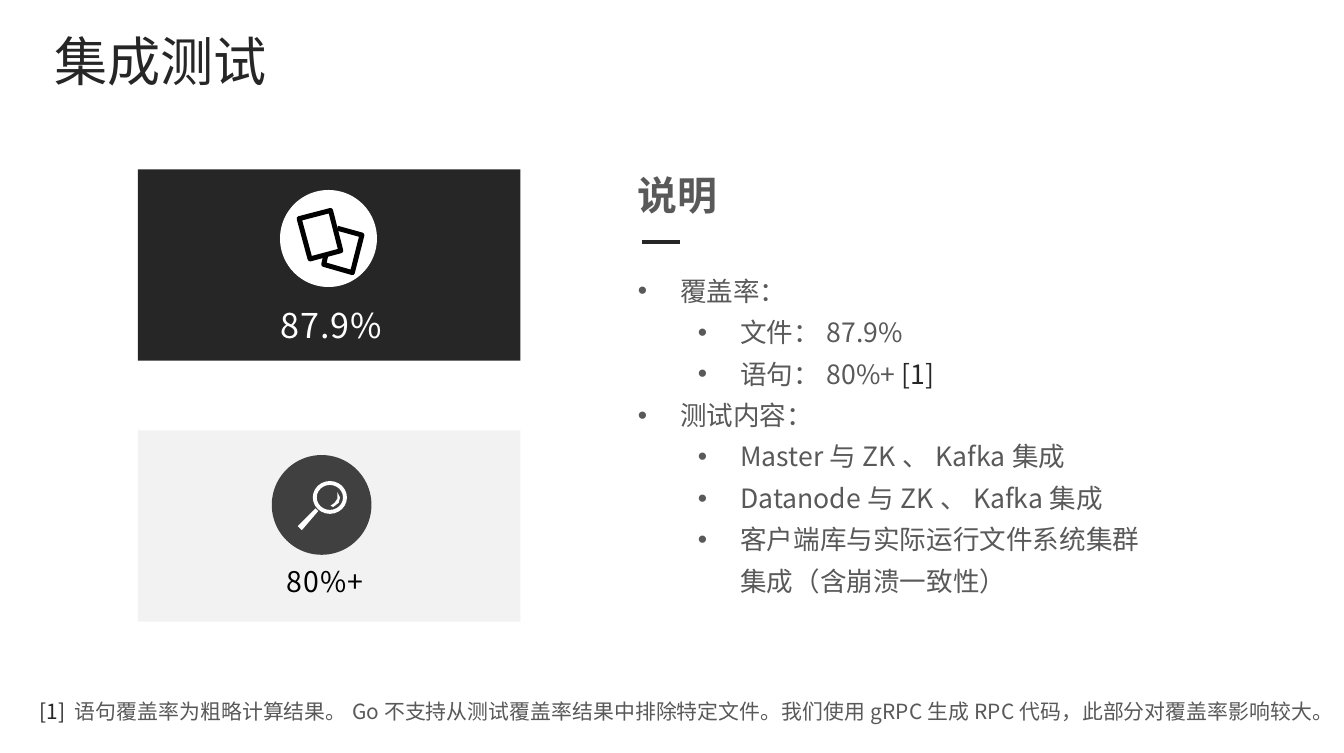
from dataclasses import dataclass

from lxml.etree import SubElement
from pptx import Presentation
from pptx.dml.color import RGBColor
from pptx.enum.shapes import MSO_CONNECTOR, MSO_SHAPE
from pptx.enum.text import MSO_ANCHOR, MSO_AUTO_SIZE, PP_ALIGN
from pptx.oxml.ns import qn
from pptx.util import Inches, Pt


@dataclass(frozen=True)
class Theme:
    font: str = "Noto Sans CJK SC"
    dark: str = "262626"
    grey: str = "595959"
    disc: str = "404040"
    pale: str = "F2F2F2"
    white: str = "FFFFFF"
    black: str = "000000"
    title: int = 28
    heading: int = 21
    figure: int = 18
    small_figure: int = 15
    body: int = 14
    note: int = 11


THEME = Theme()


def add_run(paragraph, text, *, size, color, bold=False, spacing=None):
    run = paragraph.add_run()
    run.text = text
    run.font.size = Pt(size)
    run.font.bold = bold
    run.font.color.rgb = RGBColor.from_string(color)
    run.font.name = THEME.font
    properties = run.font._element
    SubElement(properties, qn("a:ea")).set("typeface", THEME.font)
    if spacing:
        properties.set("spc", str(round(spacing * 100)))


def prepare_frame(shape, inset_x=0.07, inset_y=0.04):
    frame = shape.text_frame
    frame.word_wrap = True
    frame.auto_size = MSO_AUTO_SIZE.NONE
    frame.vertical_anchor = MSO_ANCHOR.TOP
    frame.margin_left = frame.margin_right = Inches(inset_x)
    frame.margin_top = frame.margin_bottom = Inches(inset_y)
    return frame


def add_text(slide, box, text, *, align=PP_ALIGN.LEFT, **font):
    shape = slide.shapes.add_textbox(*map(Inches, box))
    paragraph = prepare_frame(shape).paragraphs[0]
    paragraph.alignment = align
    add_run(paragraph, text, **font)


def paint(shape, fill=None, line=None, width=0):
    shape.shadow.inherit = False
    if fill:
        shape.fill.solid()
        shape.fill.fore_color.rgb = RGBColor.from_string(fill)
    else:
        shape.fill.background()
    if line:
        shape.line.color.rgb = RGBColor.from_string(line)
        shape.line.width = Pt(width)
    else:
        shape.line.fill.background()
    return shape


def add_preset(slide, kind, box, fill):
    return paint(slide.shapes.add_shape(kind, *map(Inches, box)), fill)


def add_outline(slide, left, top, points, close=True, **style):
    corners = [(Inches(left + x), Inches(top + y)) for x, y in points]
    builder = slide.shapes.build_freeform(*corners[0])
    builder.add_line_segments(corners[1:], close=close)
    paint(builder.convert_to_shape(), **style)


def add_title(slide, left, top, width, height):
    title = slide.shapes.title
    title.left, title.top = Inches(left), Inches(top)
    title.width, title.height = Inches(width), Inches(height)
    paragraph = prepare_frame(title, 0.1, 0.05).paragraphs[0]
    paragraph.alignment = PP_ALIGN.LEFT
    add_run(paragraph, "集成测试", size=THEME.title, color=THEME.dark)


def add_pages_icon(slide, left, top):
    style = {"line": THEME.black, "width": 2.6}
    front = [(0.02, 0.08), (0.25, 0.02), (0.325, 0.315), (0.1, 0.375)]
    back = [(0.3, 0.15), (0.48, 0.2), (0.41, 0.475), (0.2, 0.415), (0.215, 0.35)]
    add_outline(slide, left, top, back, close=False, **style)
    add_outline(slide, left, top, front, **style)


def add_magnifier_icon(slide, left, top):
    ring = add_preset(slide, MSO_SHAPE.DONUT, (left + 0.11, top, 0.25, 0.24), THEME.white)
    ring.adjustments[0] = 0.12
    handle = [(0, 0.33), (0.03, 0.36), (0.15, 0.22), (0.13, 0.2)]
    glint = [(0.29, 0.08), (0.29, 0.13), (0.27, 0.16), (0.24, 0.18),
             (0.26, 0.19), (0.3, 0.16), (0.31, 0.12)]
    for points in (handle, glint):
        add_outline(slide, left, top, points, fill=THEME.white)


def add_file_card(slide, left, top, width, height):
    add_preset(slide, MSO_SHAPE.RECTANGLE, (left, top, width, height), THEME.dark)
    add_preset(slide, MSO_SHAPE.OVAL, (left + 1.04, top + 0.15, 0.71, 0.71), THEME.white)
    add_pages_icon(slide, left + 1.16, top + 0.28)
    add_text(slide, (left + 0.81, top + 0.95, 1.21, 0.38), "87.9%", align=PP_ALIGN.CENTER,
             size=THEME.figure, color=THEME.white, spacing=0.6)


def add_statement_card(slide, left, top, width, height):
    add_preset(slide, MSO_SHAPE.RECTANGLE, (left, top, width, height), THEME.pale)
    add_preset(slide, MSO_SHAPE.OVAL, (left + 0.98, top + 0.18, 0.73, 0.73), THEME.disc)
    add_magnifier_icon(slide, left + 1.17, top + 0.37)
    add_text(slide, (left + 0.87, top + 0.94, 1, 0.33), "80%+", align=PP_ALIGN.CENTER,
             size=THEME.small_figure, color=THEME.black, spacing=0.6)


def add_bullet(paragraph, level):
    paragraph.level = level
    properties = paragraph._p.get_or_add_pPr()
    properties.set("marL", str(Inches((0.31, 0.75)[level])))
    properties.set("indent", str(Inches(-0.31)))
    SubElement(properties, qn("a:buFont")).set("typeface", "Arial")
    SubElement(properties, qn("a:buChar")).set("char", "•")


def add_explanation(slide, left, top, width, height):
    # Heading with a short rule
    add_text(slide, (left, top, 2.23, 0.43), "说明",
             size=THEME.heading, color=THEME.grey, bold=True)
    rule_y = Inches(top + 0.56)
    rule = slide.shapes.add_connector(MSO_CONNECTOR.STRAIGHT, Inches(left + 0.1), rule_y,
                                      Inches(left + 0.38), rule_y)
    rule.line.color.rgb = RGBColor.from_string(THEME.dark)
    rule.line.width = Pt(2.25)
    SubElement(rule._element.spPr, qn("a:effectLst"))

    # Two-level list
    items = [
        (0, "覆盖率：", ""),
        (1, "文件：87.9%", ""),
        (1, "语句：80%+ ", "[1]"),
        (0, "测试内容：", ""),
        (1, "Master与ZK、Kafka集成", ""),
        (1, "Datanode与ZK、Kafka集成", ""),
        (1, "客户端库与实际运行文件系统集群集成（含崩溃一致性）", ""),
    ]
    list_box = (left, top + 0.69, width, height - 0.69)
    frame = prepare_frame(slide.shapes.add_textbox(*map(Inches, list_box)))
    for index, (level, text, mark) in enumerate(items):
        paragraph = frame.add_paragraph() if index else frame.paragraphs[0]
        add_bullet(paragraph, level)
        paragraph.line_spacing = 1.3
        add_run(paragraph, text, size=THEME.body, color=THEME.grey)
        if mark:
            add_run(paragraph, mark, size=THEME.body, color=THEME.dark)


def add_footnote(slide, *box):
    shape = slide.shapes.add_textbox(*map(Inches, box))
    paragraph = prepare_frame(shape, 0.1, 0.05).paragraphs[0]
    paragraph.line_spacing = 1.3
    add_run(paragraph, "[1] ", size=THEME.note, color=THEME.dark)
    add_run(paragraph, "语句覆盖率为粗略计算结果。Go不支持从测试覆盖率结果中排除特定文件。"
            "我们使用gRPC生成RPC代码，此部分对覆盖率影响较大。",
            size=THEME.note, color=THEME.grey)


def main():
    presentation = Presentation()
    presentation.slide_width = Inches(9.84)
    presentation.slide_height = Inches(5.51)
    slide = presentation.slides.add_slide(presentation.slide_layouts[5])
    add_title(slide, 0.3, 0.16, 2.73, 0.57)
    add_file_card(slide, 1.01, 1.24, 2.8, 1.4)
    add_statement_card(slide, 1.01, 3.15, 2.8, 1.4)
    add_explanation(slide, 4.6, 1.21, 3.97, 3.18)
    add_footnote(slide, 0.19, 5.01, 9.6, 0.32)
    presentation.save("out.pptx")


if __name__ == "__main__":
    main()
